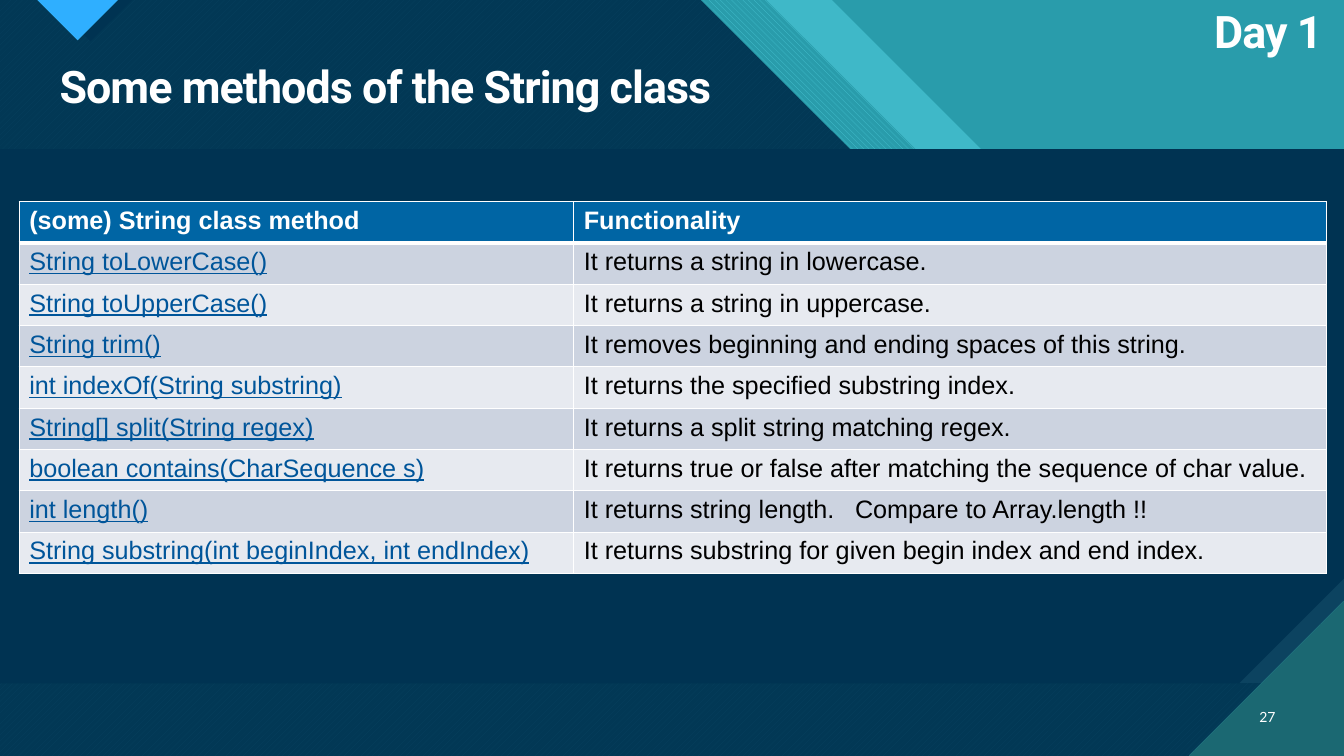
import pptx
import pptx.dml.color
import pptx.enum.dml
import pptx.enum.text
import pptx.oxml.ns
import pptx.util
from lxml import etree

Inches, Pt = pptx.util.Inches, pptx.util.Pt
RGBColor = pptx.dml.color.RGBColor
PATTERN = pptx.enum.dml.MSO_PATTERN
ALIGN = pptx.enum.text.PP_ALIGN
ANCHOR = pptx.enum.text.MSO_ANCHOR
qn = pptx.oxml.ns.qn

WHITE = RGBColor(0xFF, 0xFF, 0xFF)
BLACK = RGBColor(0x00, 0x00, 0x00)
TEAL = RGBColor(0x29, 0x9C, 0xAB)
AQUA = RGBColor(0x47, 0xC3, 0xD3)
DARK_TEAL = RGBColor(0x1B, 0x68, 0x72)
NAVY = RGBColor(0x00, 0x33, 0x52)
SLATE = RGBColor(0x0C, 0x43, 0x60)
SKY = RGBColor(0x2F, 0xAF, 0xFF)
HEADER_BLUE = RGBColor(0x00, 0x65, 0xA4)
LINK_BLUE = RGBColor(0x00, 0x55, 0x9A)
BANDS = (RGBColor(0xCC, 0xD3, 0xE0), RGBColor(0xE7, 0xEA, 0xF0))

WIDTH, HEIGHT = 13.33, 7.5
PANEL_TOP, PANEL_BOTTOM, SNIP = 1.48, 6.78, 1.04
TAB_STOP = 2.69

HEADING = {"size": Pt(32), "name": "Roboto", "bold": True}
NUMBER = {"size": Pt(10), "name": "Lato"}
CELL = {"size": Pt(18), "name": "Arial"}

METHODS = [
    ("(some) String class method", "Functionality"),
    ("String toLowerCase()", "It returns a string in lowercase."),
    ("String toUpperCase()", "It returns a string in uppercase."),
    ("String trim()", "It removes beginning and ending spaces of this string."),
    ("int indexOf(String substring)", "It returns the specified substring index."),
    ("String[] split(String regex)", "It returns a split string matching regex."),
    ("boolean contains(CharSequence s)",
     "It returns true or false after matching the sequence of char value."),
    ("int length()", "It returns string length.\tCompare to Array.length !!"),
    ("String substring(int beginIndex, int endIndex)",
     "It returns substring for given begin index and end index."),
]


class SlideBuilder:
    """Holds the current slide and adds each kind of styled element to it."""

    def __init__(self, presentation):
        self.slide = presentation.slides.add_slide(presentation.slide_layouts[5])
        self.shapes = self.slide.shapes
        self.slide.background.fill.solid()
        self.slide.background.fill.fore_color.rgb = AQUA

    def polygon(self, points, color, back=None, pattern=None, opacity=100):
        corners = [(Inches(x), Inches(y)) for x, y in points]
        builder = self.shapes.build_freeform(*corners[0])
        builder.add_line_segments(corners[1:], close=True)
        shape = builder.convert_to_shape()
        shape.shadow.inherit = False
        shape.line.fill.background()
        if pattern is None:
            shape.fill.solid()
        else:
            shape.fill.patterned()
            shape.fill.pattern = pattern
            shape.fill.back_color.rgb = back
        shape.fill.fore_color.rgb = color
        if opacity < 100:
            color_element = shape.element.spPr.find(qn("a:solidFill"))[0]
            etree.SubElement(color_element, qn("a:alpha"), val=str(opacity * 1000))

    def add_text(self, frame, text, style, color=WHITE, align=ALIGN.LEFT):
        paragraph = frame.paragraphs[0]
        paragraph.alignment = align
        run = paragraph.add_run()
        run.text = text
        for name, value in style.items():
            setattr(run.font, name, value)
        run.font.color.rgb = color
        if style is HEADING:
            paragraph.line_spacing = 0.9
            run._r.get_or_add_rPr().set("spc", "-70")
        if "\t" in text:
            properties = paragraph._p.get_or_add_pPr()
            tabs = etree.SubElement(properties, qn("a:tabLst"))
            etree.SubElement(tabs, qn("a:tab"), pos=str(Inches(TAB_STOP)), algn="l")

    def title(self, text, left, top, width, height):
        shape = self.shapes.title
        shape.element.getparent().append(shape.element)
        position = {"left": left, "top": top, "width": width, "height": height}
        for name, value in position.items():
            setattr(shape, name, Inches(value))
        shape.text_frame.word_wrap = True
        shape.text_frame.vertical_anchor = ANCHOR.TOP
        self.add_text(shape.text_frame, text, HEADING)

    def label(self, text, box, style, align, anchor=ANCHOR.TOP):
        frame = self.shapes.add_textbox(*map(Inches, box)).text_frame
        frame.word_wrap = True
        frame.vertical_anchor = anchor
        self.add_text(frame, text, style, align=align)

    def borders(self, cell, bottom):
        properties = cell._tc.get_or_add_tcPr()
        for side, points in (("L", 1), ("R", 1), ("T", 1), ("B", bottom)):
            line = etree.SubElement(properties, qn(f"a:ln{side}"), w=str(Pt(points)))
            fill = etree.SubElement(line, qn("a:solidFill"))
            etree.SubElement(fill, qn("a:srgbClr"), val=str(WHITE))

    def table(self, rows, left, top, widths, row_height):
        table = self.shapes.add_table(
            len(rows), len(widths), Inches(left), Inches(top),
            Inches(sum(widths)), Inches(row_height * len(rows))).table
        for column, width in zip(table.columns, widths):
            column.width = Inches(width)
        for row_index, row in enumerate(rows):
            header = row_index == 0
            for column_index, text in enumerate(row):
                cell = table.cell(row_index, column_index)
                link = not header and column_index == 0
                color = WHITE if header else LINK_BLUE if link else BLACK
                style = {**CELL, "bold": header, "underline": link}
                self.borders(cell, 3 if header else 1)
                cell.fill.solid()
                cell.fill.fore_color.rgb = (
                    HEADER_BLUE if header else BANDS[(row_index - 1) % 2])
                self.add_text(cell.text_frame, text, style, color)


def ribbon(top_right, step, side):
    knee = 2.97
    return [(0, 0), (top_right, 0), (top_right + knee, knee), (step, knee),
            (WIDTH, side), (WIDTH, HEIGHT), (0, HEIGHT)]


def draw_backdrop(builder):
    builder.polygon([(0, 0), (WIDTH, 0), (WIDTH, HEIGHT), (0, HEIGHT)], TEAL)
    builder.polygon(ribbon(8.25, 12.34, 3.96), AQUA, opacity=74)
    builder.polygon(ribbon(7.6, 11.84, 4.47), AQUA, TEAL,
                    PATTERN.WIDE_DOWNWARD_DIAGONAL)
    navy_ribbon = ribbon(6.95, 11.18, 5.12)
    builder.polygon(navy_ribbon, AQUA, DARK_TEAL, PATTERN.WIDE_UPWARD_DIAGONAL)
    builder.polygon(navy_ribbon, NAVY, opacity=90)
    builder.polygon([(0.48, 0), (1.31, 0), (0.9, 0.41)], NAVY)
    builder.polygon([(0.37, 0), (1.17, 0), (0.77, 0.4)], SKY, DARK_TEAL,
                    PATTERN.DARK_HORIZONTAL)
    panel_top = [(0, PANEL_TOP), (WIDTH, PANEL_TOP)]
    builder.polygon(panel_top + [(WIDTH, PANEL_BOTTOM), (0, PANEL_BOTTOM)],
                    SLATE, DARK_TEAL, PATTERN.DARK_VERTICAL)
    builder.polygon(panel_top + [(WIDTH, PANEL_BOTTOM - SNIP),
                                 (WIDTH - SNIP, PANEL_BOTTOM), (0, PANEL_BOTTOM)], NAVY)
    builder.polygon([(11.79, HEIGHT), (WIDTH, HEIGHT), (WIDTH, 5.96)], DARK_TEAL,
                    AQUA, PATTERN.DARK_HORIZONTAL)


def main():
    presentation = pptx.Presentation()
    presentation.slide_width = Inches(WIDTH)
    presentation.slide_height = Inches(HEIGHT)
    builder = SlideBuilder(presentation)
    draw_backdrop(builder)
    builder.title("Some methods of the String class", 0.49, 0.59, 12.26, 0.59)
    builder.label("27", (12.31, 6.91, 0.44, 0.4), NUMBER, ALIGN.RIGHT, ANCHOR.MIDDLE)
    builder.table(METHODS, 0.19, 2, (5.5, 7.47), 0.41)
    builder.label("Day 1", (11.82, 0.05, 1.52, 0.59), HEADING, ALIGN.CENTER)
    presentation.save("out.pptx")


if __name__ == "__main__":
    main()
